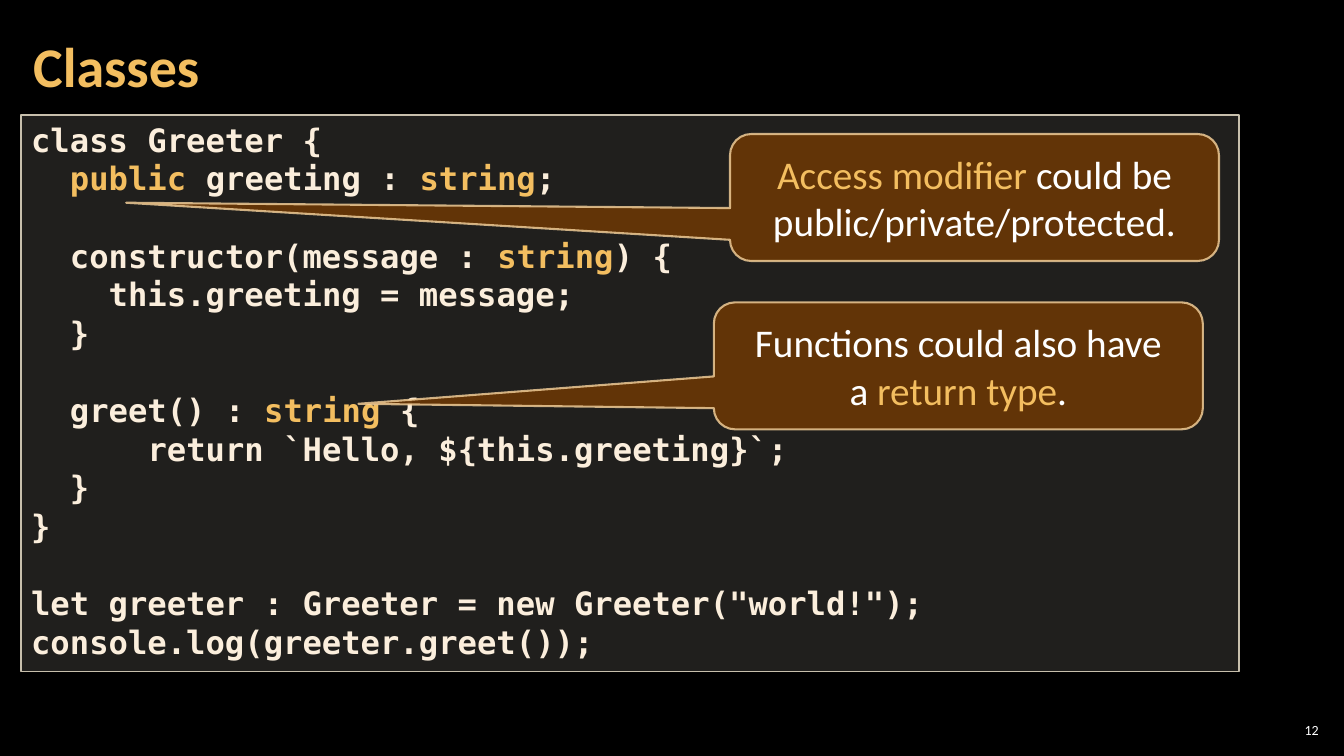
from dataclasses import dataclass

import pptx
import pptx.dml.color
import pptx.enum.shapes
import pptx.enum.text
import pptx.oxml
import pptx.oxml.ns
import pptx.util

Inches = pptx.util.Inches
Pt = pptx.util.Pt
Align = pptx.enum.text.PP_ALIGN
Anchor = pptx.enum.text.MSO_ANCHOR
Shape = pptx.enum.shapes.MSO_SHAPE

SANS, MONO = "Calibri", "DejaVu Sans Mono"
GOLD, CREAM, WHITE = "F3BE60", "FBEEDC", "FFFFFF"
CODE_SIZE, CODE_PITCH = 23, 27.6
CODE_INDENT = 0.385  # two monospaced characters

Box = tuple[float, float, float, float]
Runs = list[tuple[str, str]]


@dataclass
class CodeLine:
    runs: Runs
    level: int = 0
    gap: bool = False


@dataclass
class Callout:
    box: Box
    tip: tuple[float, float]
    runs: Runs


CODE = [
    CodeLine([("class Greeter {", CREAM)]),
    CodeLine([("public", GOLD), (" greeting : ", CREAM), ("string", GOLD), (";", CREAM)], 1),
    CodeLine([("constructor(message : ", CREAM), ("string", GOLD), (") {", CREAM)], 1, True),
    CodeLine([("this.greeting = message;", CREAM)], 2),
    CodeLine([("}", CREAM)], 1),
    CodeLine([("greet() : ", CREAM), ("string", GOLD), (" {", CREAM)], 1, True),
    CodeLine([("return `Hello, ${this.greeting}`;", CREAM)], 3),
    CodeLine([("}", CREAM)], 1),
    CodeLine([("}", CREAM)]),
    CodeLine([('let greeter : Greeter = new Greeter("world!");', CREAM)], 0, True),
    CodeLine([("console.log(greeter.greet());", CREAM)]),
]

CALLOUTS = [
    Callout((7.24, 1.33, 4.85, 1.26), (-1.735, 0.041),
            [("Access modifier ", GOLD), ("could be public/private/protected.", WHITE)]),
    Callout((7.08, 3, 4.85, 1.26), (-1.227, 0.299),
            [("Functions could also have a ", WHITE), ("return type", GOLD), (".", WHITE)]),
]


def rgb(color: str) -> pptx.dml.color.RGBColor:
    return pptx.dml.color.RGBColor.from_string(color)


def set_alpha(fill, percent: int) -> None:
    """Make a solid fill partly transparent."""
    color = fill._xPr.find(".//" + pptx.oxml.ns.qn("a:srgbClr"))
    alpha = pptx.oxml.parse_xml(f'<a:alpha {pptx.oxml.ns.nsdecls("a")} val="{percent * 1000}"/>')
    color.append(alpha)


def add_runs(p, runs: Runs, font: str, size: float, bold: bool = False) -> None:
    for text, color in runs:
        r = p.add_run()
        r.text = text
        r.font.name, r.font.size, r.font.bold = font, Pt(size), bold
        r.font.color.rgb = rgb(color)


def set_frame(tf, anchor, side: float, edge: float) -> None:
    tf.word_wrap = True
    tf.vertical_anchor = anchor
    tf.margin_left = tf.margin_right = Inches(side)
    tf.margin_top = tf.margin_bottom = Inches(edge)


def add_text(slide, box: Box, text: str, color: str, size: float, align, side: float,
             bold: bool = False) -> None:
    tf = slide.shapes.add_textbox(*map(Inches, box)).text_frame
    set_frame(tf, Anchor.MIDDLE, side, 0.04)
    p = tf.paragraphs[0]
    p.alignment = align
    add_runs(p, [(text, color)], SANS, size, bold)


def add_panel(slide, kind, box: Box, fill: str, fill_alpha: int, line: str,
              line_alpha: int, width: float):
    sp = slide.shapes.add_shape(kind, *map(Inches, box))
    sp.shadow.inherit = False
    sp.fill.solid()
    sp.fill.fore_color.rgb = rgb(fill)
    set_alpha(sp.fill, fill_alpha)
    sp.line.width = Pt(width)
    sp.line.color.rgb = rgb(line)
    set_alpha(sp.line.fill, line_alpha)
    return sp


def add_code(slide, box: Box, lines: list[CodeLine]) -> None:
    sp = add_panel(slide, Shape.RECTANGLE, box, "D9D5C7", 15, "C7BFAC", 100, 1)
    tf = sp.text_frame
    set_frame(tf, Anchor.TOP, 0.1, 0.05)
    for i, line in enumerate(lines):
        p = tf.add_paragraph() if i else tf.paragraphs[0]
        p.alignment = Align.LEFT
        p.line_spacing = Pt(CODE_PITCH)
        p.space_before = Pt(CODE_PITCH if line.gap else 0)
        p._p.get_or_add_pPr().set("marL", str(Inches(line.level * CODE_INDENT)))
        add_runs(p, line.runs, MONO, CODE_SIZE, True)


def add_callout(slide, callout: Callout) -> None:
    sp = add_panel(slide, Shape.ROUNDED_RECTANGULAR_CALLOUT, callout.box,
                   "663606", 95, "F8D49E", 80, 1.5)
    sp.adjustments[0], sp.adjustments[1] = callout.tip
    sp.adjustments[2] = 0.167
    set_frame(sp.text_frame, Anchor.MIDDLE, 0.3, 0.1)
    p = sp.text_frame.paragraphs[0]
    p.alignment = Align.CENTER
    add_runs(p, callout.runs, SANS, 28)


def main() -> None:
    prs = pptx.Presentation()
    prs.slide_width, prs.slide_height = Inches(13.33), Inches(7.5)
    slide = prs.slides.add_slide(prs.slide_layouts[6])
    slide.background.fill.solid()
    slide.background.fill.fore_color.rgb = rgb("000000")

    add_text(slide, (12.65, 7.14, 0.47, 0.21), "12", WHITE, 10, Align.RIGHT, 0.04)
    add_text(slide, (0.21, 0.04, 10.47, 1.21), "Classes", GOLD, 40, Align.LEFT, 0.12, True)
    add_code(slide, (0.21, 1.14, 12.08, 5.52), CODE)
    for callout in CALLOUTS:
        add_callout(slide, callout)
    prs.save("out.pptx")


if __name__ == "__main__":
    main()
